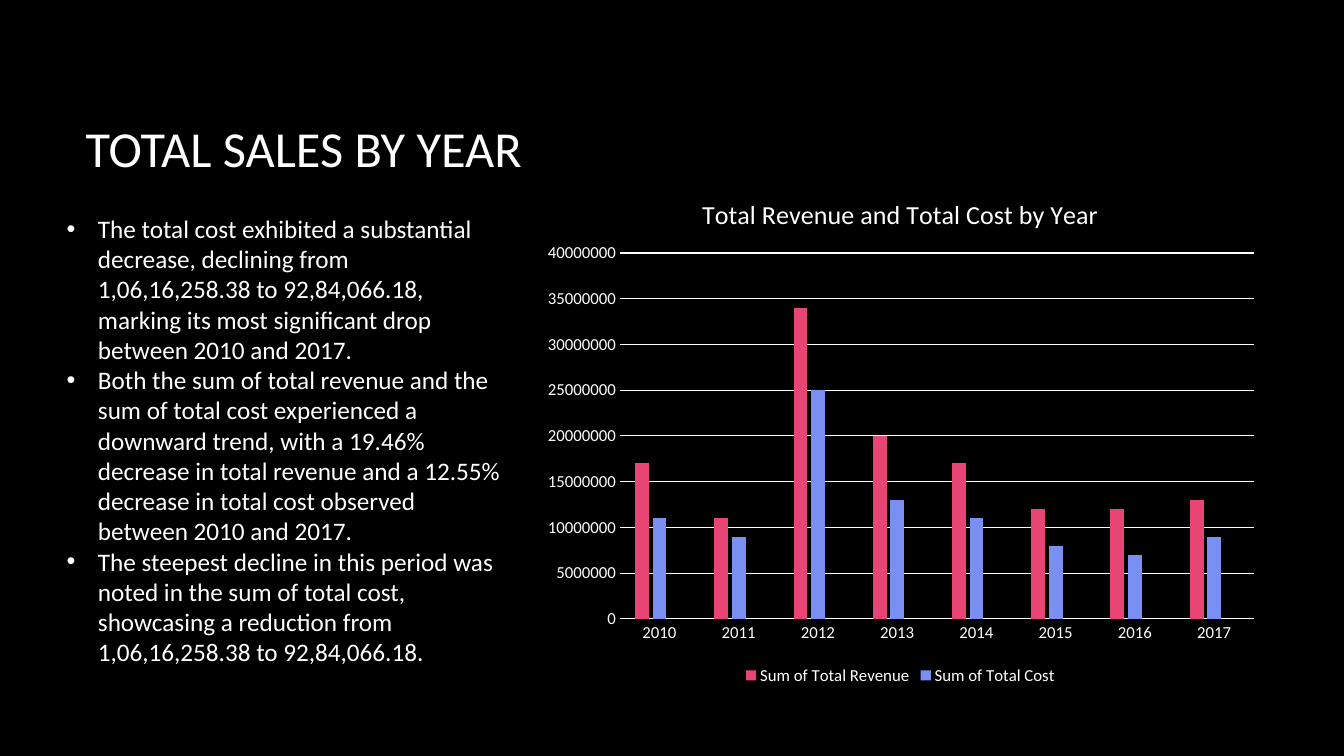
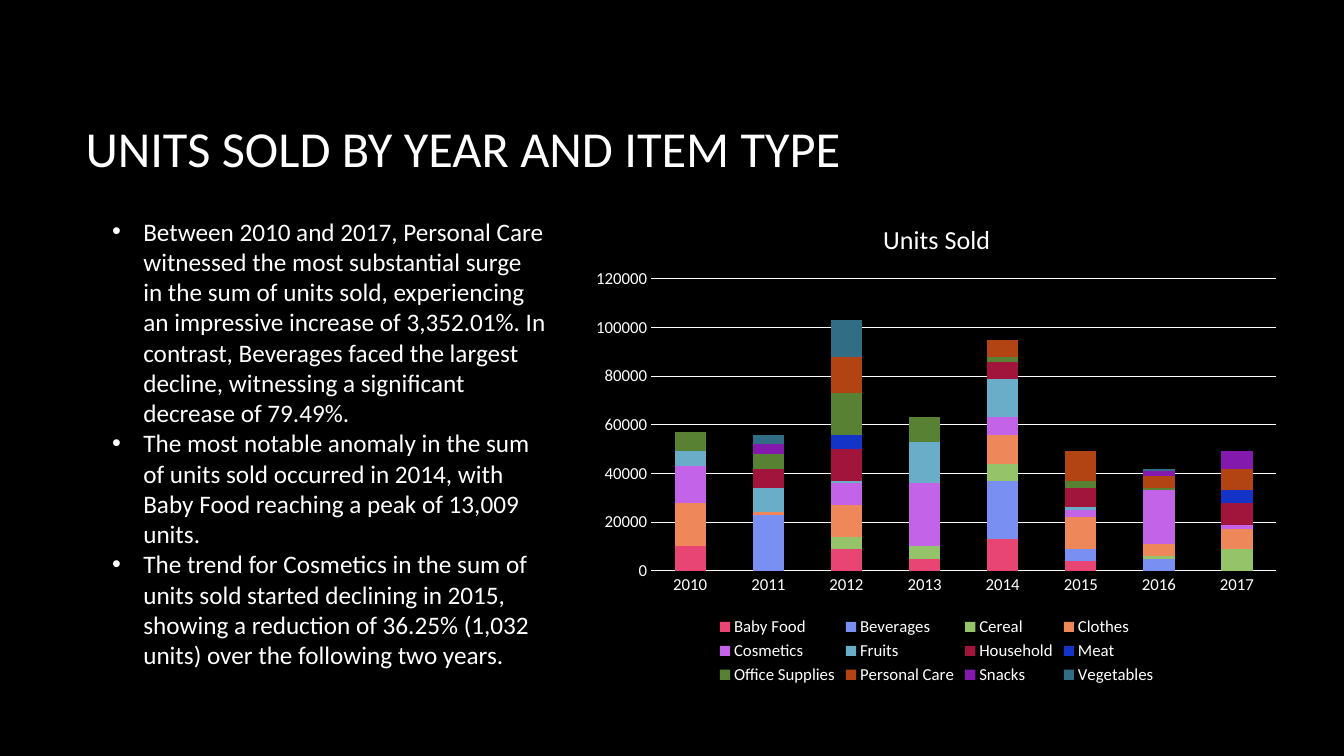
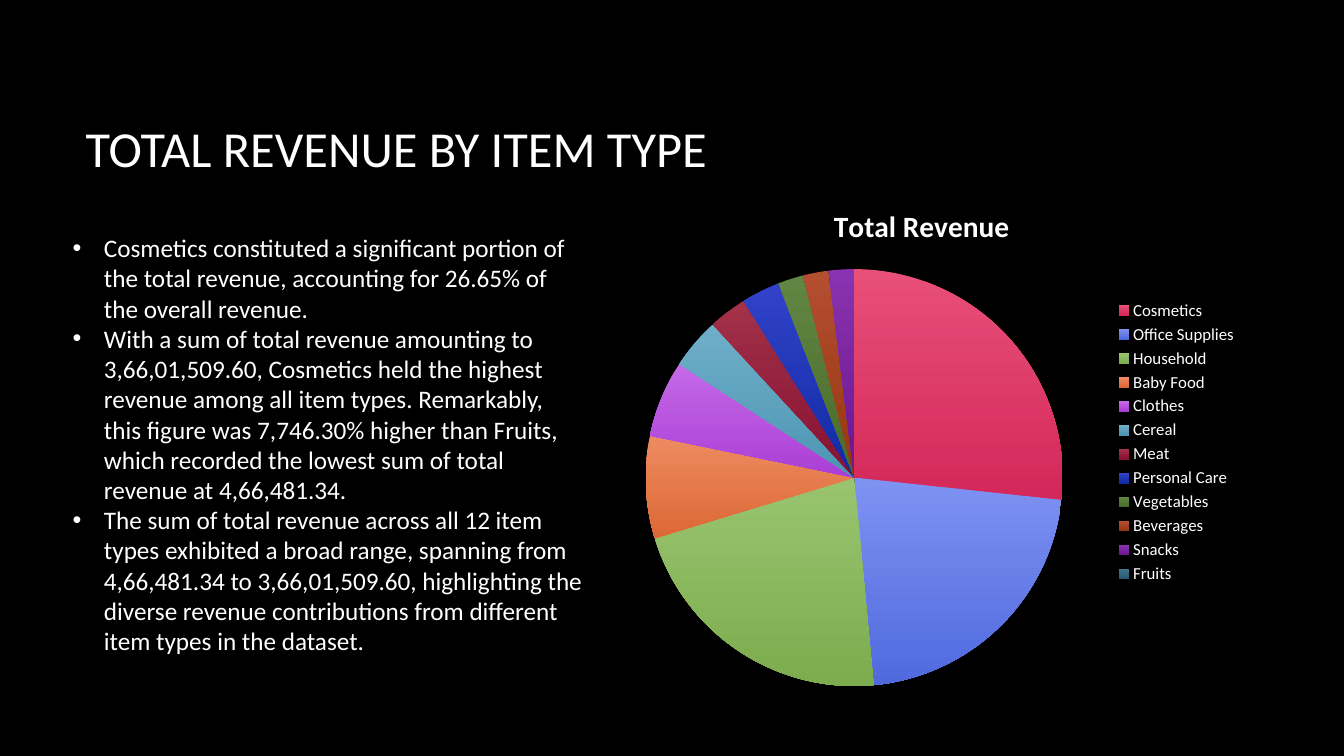
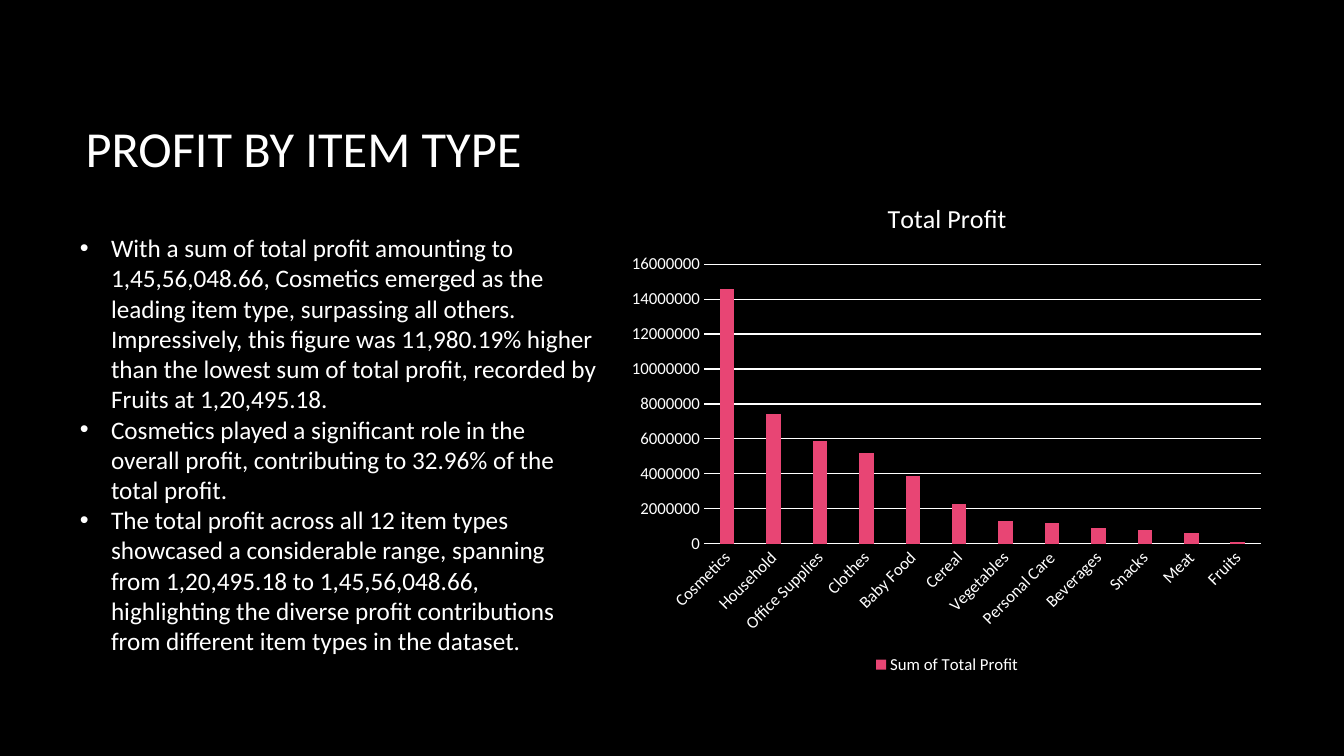
from pptx import Presentation
from pptx.chart.data import CategoryChartData
from pptx.dml.color import RGBColor
from pptx.enum.chart import XL_CHART_TYPE as ChartType, XL_LEGEND_POSITION as LegendPosition, XL_TICK_MARK as TickMark
from pptx.enum.text import MSO_ANCHOR as Anchor, MSO_AUTO_SIZE as AutoSize
from pptx.oxml import parse_xml
from pptx.oxml.ns import nsdecls, qn
from pptx.util import Inches, Pt

FONT = "Calibri"
COLORS = {"background": "000000", "text": "FFFFFF"}
SERIES_COLORS = ["E84574", "798FF2", "95C369", "EE875A", "C363E8", "6AADC8",
                 "A1143C", "1334C7", "598133", "B24312", "841AAD", "316E86"]
PIE_GRADIENTS = [("E84F79", "D32859"), ("7E92F2", "506ADE"), ("98C46F", "7CAC4E"),
                 ("EE8B61", "DC6835"), ("C469E8", "AB3FD5"), ("70AFC9", "4C95B3"),
                 ("A33149", "861132"), ("3142C8", "102BA5"), ("618542", "4A6B2B"),
                 ("B44E31", "95380F"), ("8833AF", "6E1590"), ("41738A", "295B70")]
YEARS = [str(year) for year in range(2010, 2018)]

presentation = Presentation()
presentation.slide_width = Inches(13.333)
presentation.slide_height = Inches(7.5)
COLUMN = presentation.slide_width / 40
ROW = presentation.slide_height / 22.5
TITLE_BOX = (2.25, 2, 33.25, 4.75)


def place(box):
    left, top, width, height = box
    return [round(length) for length in (left * COLUMN, top * ROW, width * COLUMN, height * ROW)]


def style(font, size, bold=False):
    font.name = FONT
    font.size = Pt(size)
    font.bold = bold
    font.color.rgb = RGBColor.from_string(COLORS["text"])


slides = [
    {
        "title": "TOTAL SALES BY YEAR",
        "bullets": [
            "The total cost exhibited a substantial decrease, declining from 1,06,16,258.38 to 92,84,066.18, marking its most significant drop between 2010 and 2017.",
            "Both the sum of total revenue and the sum of total cost experienced a downward trend, with a 19.46% decrease in total revenue and a 12.55% decrease in total cost observed between 2010 and 2017.",
            "The steepest decline in this period was noted in the sum of total cost, showcasing a reduction from 1,06,16,258.38 to 92,84,066.18.",
        ],
        "text_box": (1.69, 6.2, 13.6, 14.85),
        "chart_box": (15.85, 5.22, 21.9, 15.3),
        "plot_box": (18.45, 7.53, 18.87, 10.89),
        "type": ChartType.COLUMN_CLUSTERED,
        "chart_title": "Total Revenue and Total Cost by Year",
        "categories": YEARS,
        "unit": 1000000,
        "series": {
            "Sum of Total Revenue": [17, 11, 34, 20, 17, 12, 12, 13],
            "Sum of Total Cost": [11, 9, 25, 13, 11, 8, 7, 9],
            "Series 3": [None] * 8,
        },
        "unlisted": [2],
        "axis": (40000000, 5000000),
        "gap": (219, -27),
    },
    {
        "title": "UNITS SOLD BY YEAR AND ITEM TYPE",
        "bullets": [
            "Between 2010 and 2017, Personal Care witnessed the most substantial surge in the sum of units sold, experiencing an impressive increase of 3,352.01%. In contrast, Beverages faced the largest decline, witnessing a significant decrease of 79.49%.",
            "The most notable anomaly in the sum of units sold occurred in 2014, with Baby Food reaching a peak of 13,009 units.",
            "The trend for Cosmetics in the sum of units sold started declining in 2015, showing a reduction of 36.25% (1,032 units) over the following two years.",
        ],
        "text_box": (3.04, 6.28, 13.52, 13.92),
        "chart_box": (17.35, 6, 21.06, 14.5),
        "plot_box": (19.38, 8.3, 18.6, 8.69),
        "type": ChartType.COLUMN_STACKED,
        "chart_title": "Units Sold",
        "categories": YEARS,
        "unit": 1000,
        "series": {
            "Baby Food": [10, None, 9, 5, 13, 4, None, None],
            "Beverages": [None, 23, None, None, 24, 5, 5, None],
            "Cereal": [None, None, 5, 5, 7, None, 1, 9],
            "Clothes": [18, 1, 13, None, 12, 13, 5, 8],
            "Cosmetics": [15, None, 9, 26, 7, 3, 22, 2],
            "Fruits": [6, 10, 1, 17, 16, 1, None, None],
            "Household": [None, 8, 13, None, 7, 8, None, 9],
            "Meat": [None, None, 6, None, None, None, None, 5],
            "Office Supplies": [8, 6, 17, 10, 2, 3, 1, None],
            "Personal Care": [None, 0, 15, None, 7, 12, 5, 9],
            "Snacks": [None, 4, None, None, None, None, 2, 7],
            "Vegetables": [None, 4, 15, None, None, None, 1, None],
        },
        "axis": (120000, 20000),
        "gap": (150, 100),
    },
    {
        "title": "TOTAL REVENUE BY ITEM TYPE",
        "bullets": [
            "Cosmetics constituted a significant portion of the total revenue, accounting for 26.65% of the overall revenue.",
            "With a sum of total revenue amounting to 3,66,01,509.60, Cosmetics held the highest revenue among all item types. Remarkably, this figure was 7,746.30% higher than Fruits, which recorded the lowest sum of total revenue at 4,66,481.34.",
            "The sum of total revenue across all 12 item types exhibited a broad range, spanning from 4,66,481.34 to 3,66,01,509.60, highlighting the diverse revenue contributions from different item types in the dataset.",
        ],
        "text_box": (1.87, 6.77, 15.83, 13.02),
        "chart_box": (17.72, 5.49, 19.42, 15.34),
        "plot_box": (19.22, 8.01, 12.41, 12.41),
        "type": ChartType.PIE,
        "chart_title": "Total Revenue",
        "categories": ["Cosmetics", "Office Supplies", "Household", "Baby Food", "Clothes", "Cereal",
                       "Meat", "Personal Care", "Vegetables", "Beverages", "Snacks", "Fruits"],
        "unit": 1,
        "series": {"Series 1": [27, 22, 22, 8, 6, 4, 3, 3, 2, 2, 2, 0]},
    },
    {
        "title": "PROFIT BY ITEM TYPE",
        "bullets": [
            "With a sum of total profit amounting to 1,45,56,048.66, Cosmetics emerged as the leading item type, surpassing all others. Impressively, this figure was 11,980.19% higher than the lowest sum of total profit, recorded by Fruits at 1,20,495.18.",
            "Cosmetics played a significant role in the overall profit, contributing to 32.96% of the total profit.",
            "The total profit across all 12 item types showcased a considerable range, spanning from 1,20,495.18 to 1,45,56,048.66, highlighting the diverse profit contributions from different item types in the dataset.",
        ],
        "text_box": (2.08, 6.77, 15.98, 13.02),
        "chart_box": (18.42, 5.36, 19.54, 14.84),
        "plot_box": (20.95, 7.86, 16.58, 8.33),
        "type": ChartType.COLUMN_CLUSTERED,
        "chart_title": "Total Profit",
        "categories": ["Cosmetics", "Household", "Office Supplies", "Clothes", "Baby Food", "Cereal",
                       "Vegetables", "Personal Care", "Beverages", "Snacks", "Meat", "Fruits"],
        "unit": 100000,
        "series": {"Sum of Total Profit": [146, 74, 59, 52, 39, 23, 13, 12, 9, 8, 6, 1]},
        "axis": (16000000, 2000000),
        "gap": (219, -27),
        "label_angle": -45,
    },
]

for content in slides:
    slide = presentation.slides.add_slide(presentation.slide_layouts[6])
    slide.background.fill.solid()
    slide.background.fill.fore_color.rgb = RGBColor.from_string(COLORS["background"])

    title_frame = slide.shapes.add_textbox(*place(TITLE_BOX)).text_frame
    title_frame.word_wrap = True
    title_frame.vertical_anchor = Anchor.MIDDLE
    title_frame.text = content["title"]
    style(title_frame.paragraphs[0].runs[0].font, 36)

    is_pie = content["type"] == ChartType.PIE
    chart_data = CategoryChartData()
    chart_data.categories = content["categories"]
    for name, values in content["series"].items():
        chart_data.add_series(name, [None if value is None else value * content["unit"] for value in values])
    chart = slide.shapes.add_chart(content["type"], *place(content["chart_box"]), chart_data).chart
    style(chart.font, 10)
    chart.has_title = True
    chart.chart_title.include_in_layout = False
    chart.chart_title.text_frame.text = content["chart_title"]
    style(chart.chart_title.text_frame.paragraphs[0].runs[0].font, 21 if is_pie else 18.6, is_pie)

    chart.has_legend = True
    legend = chart.legend
    legend.position = LegendPosition.RIGHT if is_pie else LegendPosition.BOTTOM
    legend.include_in_layout = False
    style(legend.font, 12)
    for index in content.get("unlisted", []):
        legend._element.insert(1, parse_xml(
            f'<c:legendEntry {nsdecls("c")}><c:idx val="{index}"/><c:delete val="1"/></c:legendEntry>'))

    chart_left, chart_top, chart_width, chart_height = content["chart_box"]
    plot_left, plot_top, plot_width, plot_height = content["plot_box"]
    shares = {"x": (plot_left - chart_left) / chart_width, "y": (plot_top - chart_top) / chart_height,
              "w": plot_width / chart_width, "h": plot_height / chart_height}
    modes = '<c:layoutTarget val="inner"/><c:xMode val="edge"/><c:yMode val="edge"/>'
    lengths = "".join(f'<c:{key} val="{share:.4f}"/>' for key, share in shares.items())
    plot = chart.plots[0]
    plot_area = plot._element.getparent()
    for layout in plot_area.findall(qn("c:layout")):
        plot_area.remove(layout)
    plot_area.insert(0, parse_xml(
        f'<c:layout {nsdecls("c")}><c:manualLayout>{modes}{lengths}</c:manualLayout></c:layout>'))

    plot.vary_by_categories = is_pie
    if is_pie:
        for index, gradient in enumerate(PIE_GRADIENTS):
            point_format = plot.series[0].points[index].format
            point_format.line.fill.background()
            point_format.fill.gradient()
            point_format.fill.gradient_angle = 270
            for position, (stop, color) in enumerate(zip(point_format.fill.gradient_stops, gradient)):
                stop.position = position
                stop.color.rgb = RGBColor.from_string(color)
    else:
        plot.gap_width, plot.overlap = content["gap"]
        for series, color in zip(plot.series, SERIES_COLORS):
            series.invert_if_negative = False
            series.format.fill.solid()
            series.format.fill.fore_color.rgb = RGBColor.from_string(color)
        value_axis, category_axis = chart.value_axis, chart.category_axis
        for axis in (value_axis, category_axis):
            axis.major_tick_mark = axis.minor_tick_mark = TickMark.NONE
            style(axis.tick_labels.font, 12)
        value_axis.minimum_scale = 0
        value_axis.maximum_scale, value_axis.major_unit = content["axis"]
        value_axis.format.line.fill.background()
        value_axis.has_major_gridlines = True
        for line in (value_axis.major_gridlines.format.line, category_axis.format.line):
            line.width = Pt(0.75)
            line.color.rgb = RGBColor.from_string(COLORS["text"])
        if "label_angle" in content:
            label_body = category_axis._element.find(qn("c:txPr")).find(qn("a:bodyPr"))
            label_body.set("rot", str(content["label_angle"] * 60000))

    text_frame = slide.shapes.add_textbox(*place(content["text_box"])).text_frame
    text_frame.word_wrap = True
    text_frame.auto_size = AutoSize.SHAPE_TO_FIT_TEXT
    text_frame.text = "\n".join(content["bullets"])
    for paragraph in text_frame.paragraphs:
        properties = paragraph._p.get_or_add_pPr()
        properties.set("marL", str(Inches(0.31)))
        properties.set("indent", str(-Inches(0.31)))
        properties.append(parse_xml(f'<a:buFont {nsdecls("a")} typeface="Arial"/>'))
        properties.append(parse_xml(f'<a:buChar {nsdecls("a")} char="•"/>'))
        style(paragraph.runs[0].font, 18)

presentation.save("out.pptx")
